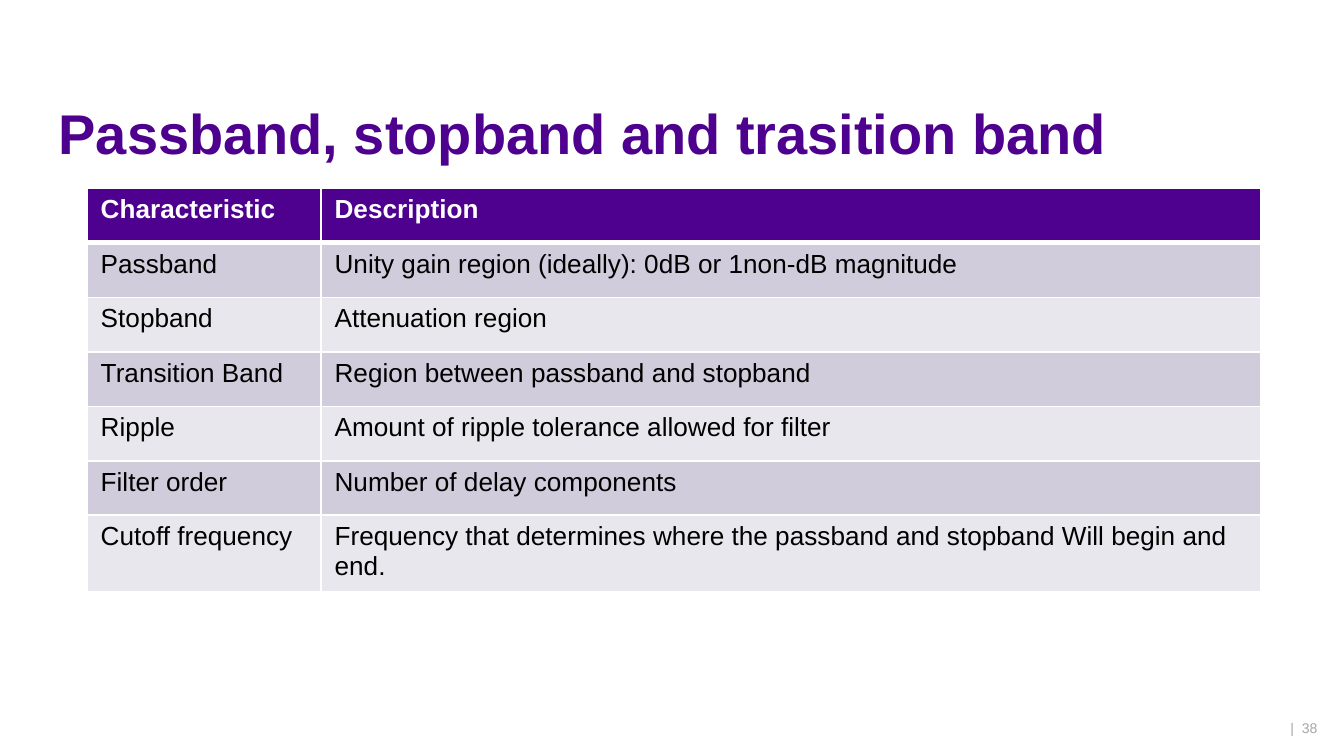
from lxml import etree
from pptx import Presentation
from pptx.dml.color import RGBColor
from pptx.enum.text import MSO_ANCHOR, PP_ALIGN
from pptx.oxml.ns import qn
from pptx.util import Cm, Pt

MIDDLE, BOTTOM = MSO_ANCHOR.MIDDLE, MSO_ANCHOR.BOTTOM
RIGHT = PP_ALIGN.RIGHT
PURPLE = RGBColor(0x4E, 0x00, 0x8E)
WHITE = RGBColor(0xFF, 0xFF, 0xFF)
BLACK = RGBColor(0x00, 0x00, 0x00)
GRAY = RGBColor(0xA6, 0xA6, 0xA6)
DARK = RGBColor(0xD0, 0xCC, 0xDB)
LIGHT = RGBColor(0xE9, 0xE7, 0xEE)

ROWS = [
    ("Characteristic", "Description"),
    ("Passband", "Unity gain region (ideally): 0dB or 1non-dB magnitude"),
    ("Stopband", "Attenuation region"),
    ("Transition Band", "Region between passband and stopband"),
    ("Ripple", "Amount of ripple tolerance allowed for filter"),
    ("Filter order", "Number of delay components"),
    ("Cutoff frequency", "Frequency that determines where the passband "
                         "and stopband Will begin and end."),
]


def style(para, size, color, bold=False):
    for run in para.runs:
        font = run.font
        font.name, font.size, font.bold = "Arial", Pt(size), bold
        font.color.rgb = color


def border(cell, side, width):
    """Draw one white edge; call before the cell's fill is set."""
    props = cell._tc.get_or_add_tcPr()
    line = etree.SubElement(props, qn("a:ln" + side), w=str(Pt(width)))
    fill = etree.SubElement(line, qn("a:solidFill"))
    etree.SubElement(fill, qn("a:srgbClr"), val=str(WHITE))


prs = Presentation()
prs.slide_width, prs.slide_height = Cm(25.4), Cm(14.29)
slide = prs.slides.add_slide(prs.slide_layouts[6])

# Title
title = slide.shapes.add_textbox(Cm(0.86), Cm(1.9), Cm(21.9), Cm(1.35))
frame = title.text_frame
frame.word_wrap = True
frame.vertical_anchor = MIDDLE
frame.text = "Passband, stopband and trasition band"
para = frame.paragraphs[0]
para.line_spacing = 0.9
style(para, 30, PURPLE, True)

# Table
widths = [Cm(4.42), Cm(17.75)]
height = Cm(1.03)
table = slide.shapes.add_table(len(ROWS), len(widths), Cm(1.65), Cm(3.56),
                               sum(widths), height * len(ROWS)).table
for col, width in zip(table.columns, widths):
    col.width = width
for r, texts in enumerate(ROWS):
    head = r == 0
    table.rows[r].height = height
    edges = {"L": 1, "R": 1, "T": 3 if r == 1 else 1, "B": 3 if head else 1}
    for c, text in enumerate(texts):
        cell = table.cell(r, c)
        for side, width in edges.items():
            border(cell, side, width)
        cell.fill.solid()
        cell.fill.fore_color.rgb = PURPLE if head else DARK if r % 2 else LIGHT
        cell.text_frame.text = text
        style(cell.text_frame.paragraphs[0], 14, WHITE if head else BLACK, head)

# Page number
page = slide.shapes.add_textbox(Cm(24.36), Cm(13.51), Cm(0.79), Cm(0.53))
frame = page.text_frame
frame.word_wrap = False
frame.margin_left = 0
frame.vertical_anchor = BOTTOM
frame.text = "|  38"
para = frame.paragraphs[0]
para.alignment = RIGHT
style(para, 7.5, GRAY)

prs.save("out.pptx")
